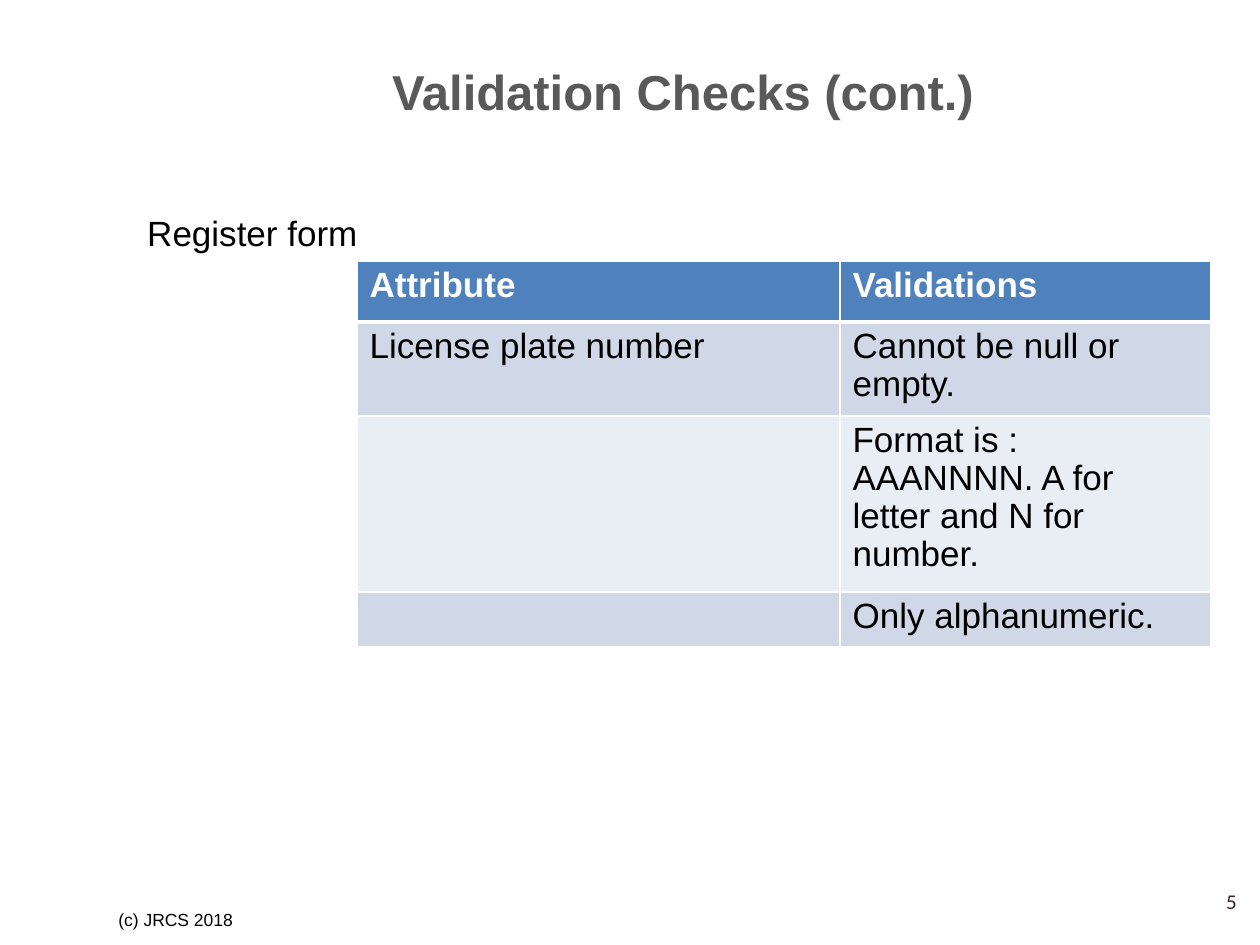
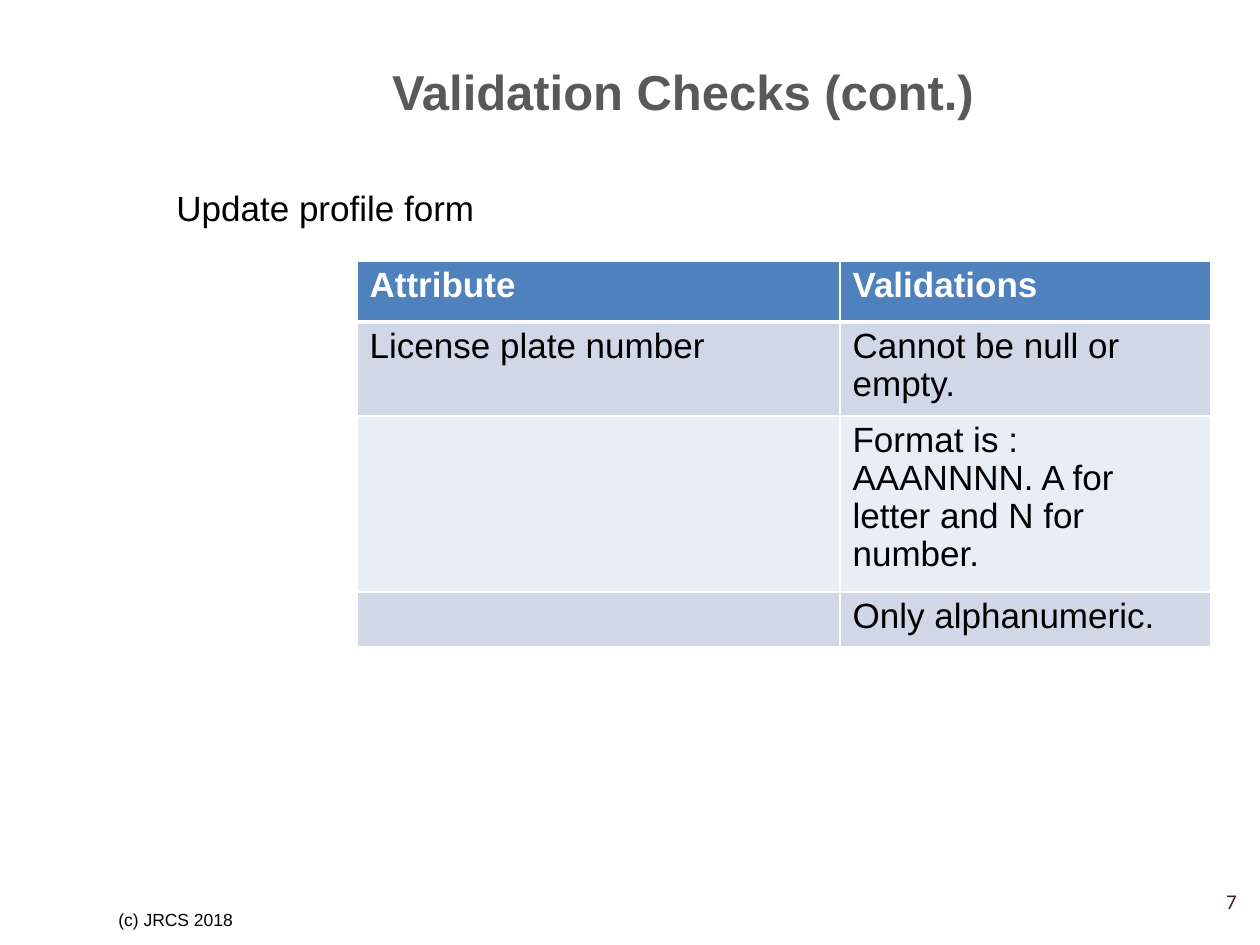
from lxml.etree import SubElement as Sub
from pptx import Presentation
from pptx.dml.color import RGBColor as RGB
from pptx.enum.text import MSO_ANCHOR as Anchor, MSO_AUTO_SIZE as Auto, PP_ALIGN as Align
from pptx.oxml.ns import qn
from pptx.util import Emu, Pt

SCALE = 914400 / 126
WHITE, BLACK, GREY, BROWN = "FFFFFF", "000000", "595959", "3A2222"
HEAD, BANDS = "4F81BD", ("D0D8E8", "E9EDF4")

COLS = (483, 371)
HEIGHTS = (61, 91, 168, 55)
CHECKS = (
    ("Attribute", "Validations"),
    ("License plate number", "Cannot be null or empty."),
    ("", "Format is : AAANNNN. A for letter and N for number."),
    ("", "Only alphanumeric."),
)
# Page number, form name, then the left, top, width and height of its label
FORMS = (
    ("5", "Register form", (134, 205, 237, 55)),
    ("7", "Update profile form", (163, 180, 325, 55)),
)


def px(num):
    return Emu(round(num * SCALE))


def color(code):
    return RGB.from_string(code)


class Deck:
    def __init__(self):
        self.prs = Presentation()
        self.prs.slide_width, self.prs.slide_height = px(1260), px(945)
        self.slide = None

    def style(self, para, size, code, bold=False, align=Align.LEFT, face="Arial"):
        para.alignment = align
        font = para.font
        font.name, font.size, font.bold = face, Pt(size), bold
        font.color.rgb = color(code)

    def page(self, title):
        self.slide = self.prs.slides.add_slide(self.prs.slide_layouts[5])
        shape = self.slide.shapes.title
        shape.left, shape.top, shape.width, shape.height = map(px, (116, 38, 1134, 106))
        frame = shape.text_frame
        frame.text = title
        frame.vertical_anchor = Anchor.MIDDLE
        frame.auto_size = Auto.NONE
        self.style(frame.paragraphs[0], 28, GREY, True, Align.CENTER)

    def text(self, box, words, size, code, wrap=True, anchor=Anchor.MIDDLE, **look):
        frame = self.slide.shapes.add_textbox(*map(px, box)).text_frame
        frame.text = words
        frame.word_wrap = wrap
        frame.vertical_anchor = anchor
        self.style(frame.paragraphs[0], size, code, **look)

    def label(self, box, words):
        self.text(box, words, 20, BLACK, wrap=False, anchor=Anchor.TOP, align=Align.CENTER)

    def footer(self, num):
        self.text((106, 895, 294, 50), "(c) JRCS 2018", 10, BLACK)
        self.text((955, 876, 294, 50), num, 12, BROWN, align=Align.RIGHT, face="Calibri")

    def edges(self, cell, row):
        """Draw white cell borders, thick where the head meets the body."""
        props = cell._tc.get_or_add_tcPr()
        for side in "LRTB":
            thick = (row, side) in ((0, "B"), (1, "T"))
            line = Sub(props, qn(f"a:ln{side}"), w=str(Pt(3 if thick else 1)))
            Sub(Sub(line, qn("a:solidFill")), qn("a:srgbClr"), val=WHITE)

    def table(self, left, top, cols, heights, data):
        box = map(px, (left, top, sum(cols), sum(heights)))
        table = self.slide.shapes.add_table(len(data), len(cols), *box).table
        for col, width in zip(table.columns, cols):
            col.width = px(width)
        for i, (row, height, words) in enumerate(zip(table.rows, heights, data)):
            row.height = px(height)
            for cell, word in zip(row.cells, words):
                self.edges(cell, i)
                cell.fill.solid()
                cell.fill.fore_color.rgb = color(BANDS[(i - 1) % 2] if i else HEAD)
                cell.text = word
                para = cell.text_frame.paragraphs[0]
                para.line_spacing = 0.97
                self.style(para, 20, BLACK if i else WHITE, i == 0)


def main():
    deck = Deck()
    for num, form, box in FORMS:
        deck.page("Validation Checks (cont.)")
        deck.footer(num)
        deck.table(357, 261, COLS, HEIGHTS, CHECKS)
        deck.label(box, form)
    deck.prs.save("out.pptx")


if __name__ == "__main__":
    main()
